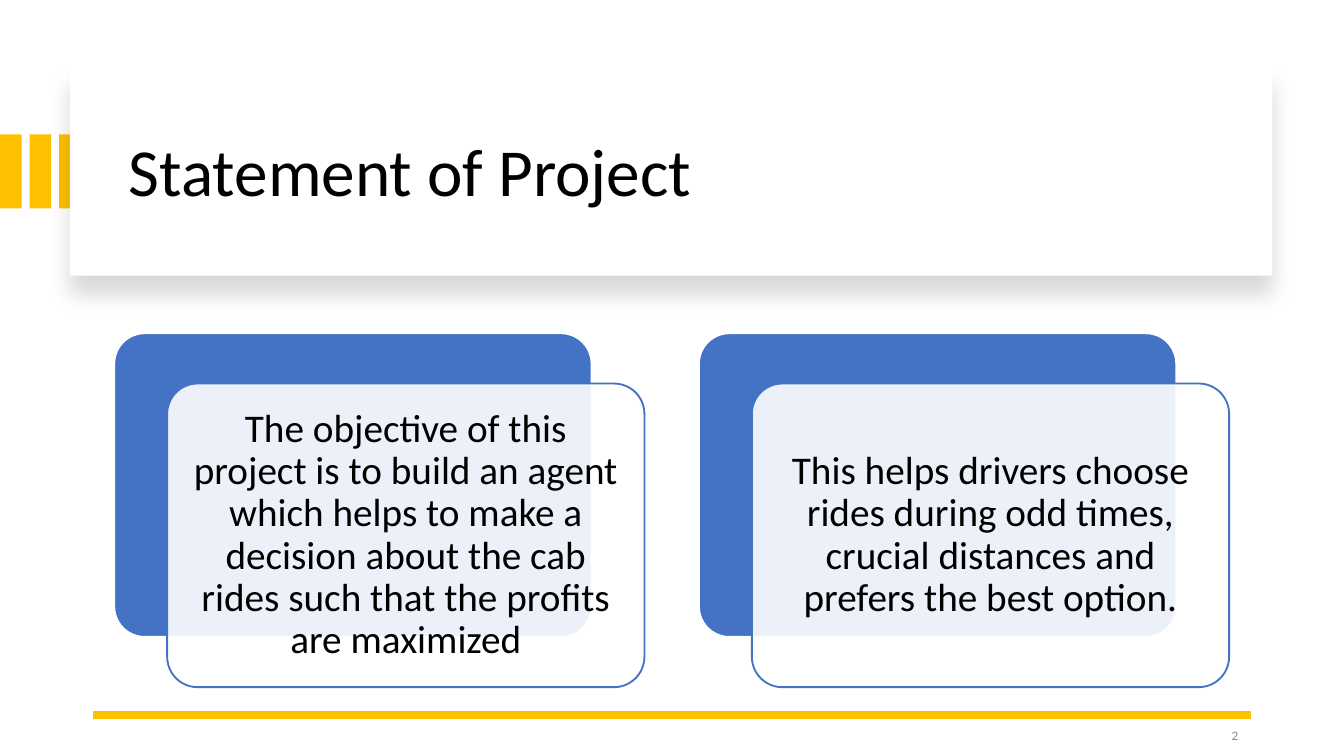
from lxml import etree
from pptx import Presentation
from pptx.dml.color import RGBColor
from pptx.enum import shapes, text
from pptx.oxml import ns
from pptx.util import Cm, Pt

HEADING = "Statement of Project"
STATEMENTS = [
    "The objective of this project is to build an agent which helps to make a "
    "decision about the cab rides such that the profits are maximized",
    "This helps drivers choose rides during odd times, crucial distances and "
    "prefers the best option.",
]
PAGE_NUMBER = "2"

FONT = "Calibri"
GOLD = RGBColor(0xFF, 0xC0, 0x00)
BLUE = RGBColor(0x44, 0x72, 0xC4)
WHITE = RGBColor(0xFF, 0xFF, 0xFF)
BLACK = RGBColor(0x00, 0x00, 0x00)
GREY = RGBColor(0x8C, 0x8C, 0x8C)

BAR_COUNT, BAR_PITCH = 3, 0.56
PANEL_LEFT, PANEL_TOP, PANEL_PITCH = 2.16, 6.3, 11.05
PANEL_WIDTH, PANEL_HEIGHT = 9.02, 5.74
FRONT_SHIFT_X, FRONT_SHIFT_Y = 1.0, 0.95
PANEL_INSET = 0.23


def add_block(slide, preset, left, top, width, height, fill, line=None):
    block = slide.shapes.add_shape(preset, Cm(left), Cm(top), Cm(width), Cm(height))
    block.shadow.inherit = False
    block.fill.solid()
    block.fill.fore_color.rgb = fill
    if line is None:
        block.line.fill.background()
    else:
        block.line.color.rgb = line
        block.line.width = Pt(1)
    return block


def add_panel(slide, left, top, fill, line):
    panel = add_block(slide, shapes.MSO_SHAPE.ROUNDED_RECTANGLE, left, top,
                      PANEL_WIDTH, PANEL_HEIGHT, fill, line)
    panel.adjustments[0] = 0.1
    return panel


def write(frame, words, size, color, align):
    frame.word_wrap = True
    frame.auto_size = text.MSO_AUTO_SIZE.NONE
    frame.vertical_anchor = text.MSO_ANCHOR.MIDDLE
    paragraph = frame.paragraphs[0]
    paragraph.alignment = align
    paragraph.line_spacing = 0.9
    run = paragraph.add_run()
    run.text = words
    run.font.name = FONT
    run.font.size = Pt(size)
    run.font.color.rgb = color


def set_alpha(shape, percent):
    color = shape.fill._xPr.find(ns.qn("a:solidFill"))[0]
    etree.SubElement(color, ns.qn("a:alpha"), val=str(percent * 1000))


def add_drop_shadow(shape, percent, blur, distance):
    effects = shape._element.spPr.find(ns.qn("a:effectLst"))
    shadow = etree.SubElement(effects, ns.qn("a:outerShdw"), blurRad=str(Pt(blur)),
                              dist=str(Pt(distance)), dir="5400000", rotWithShape="0")
    color = etree.SubElement(shadow, ns.qn("a:srgbClr"), val=str(BLACK))
    etree.SubElement(color, ns.qn("a:alpha"), val=str(percent * 1000))


def main():
    deck = Presentation()
    deck.slide_width, deck.slide_height = Cm(25.4), Cm(14.29)
    slide = deck.slides.add_slide(deck.slide_layouts[5])
    rectangle = shapes.MSO_SHAPE.RECTANGLE

    for index in range(BAR_COUNT):
        add_block(slide, rectangle, index * BAR_PITCH, 2.54, 0.41, 1.4, GOLD)
    banner = add_block(slide, rectangle, 1.32, 1.27, 22.73, 3.94, WHITE)
    add_drop_shadow(banner, 15, 11, 10)

    title = slide.shapes.title
    title.left, title.top, title.width, title.height = Cm(2.18), Cm(1.68), Cm(21.18), Cm(3.23)
    write(title.text_frame, HEADING, 36, BLACK, text.PP_ALIGN.LEFT)
    banner._element.addnext(title._element)

    rule = slide.shapes.add_connector(shapes.MSO_CONNECTOR.STRAIGHT,
                                      Cm(23.65), Cm(13.51), Cm(1.75), Cm(13.51))
    rule.line.color.rgb = GOLD
    rule.line.width = Pt(4.5)
    etree.SubElement(rule._element.spPr, ns.qn("a:effectLst"))

    number = slide.shapes.add_textbox(Cm(17.93), Cm(13.54), Cm(5.72), Cm(0.76))
    write(number.text_frame, PAGE_NUMBER, 7, GREY, text.PP_ALIGN.RIGHT)

    for index, statement in enumerate(STATEMENTS):
        left = PANEL_LEFT + index * PANEL_PITCH
        add_panel(slide, left, PANEL_TOP, BLUE, WHITE)
        front = add_panel(slide, left + FRONT_SHIFT_X, PANEL_TOP + FRONT_SHIFT_Y, WHITE, BLUE)
        set_alpha(front, 90)
        frame = front.text_frame
        frame.margin_left = frame.margin_right = Cm(PANEL_INSET)
        frame.margin_top = frame.margin_bottom = Cm(PANEL_INSET)
        write(frame, statement, 21, BLACK, text.PP_ALIGN.CENTER)

    deck.save("out.pptx")


if __name__ == "__main__":
    main()
